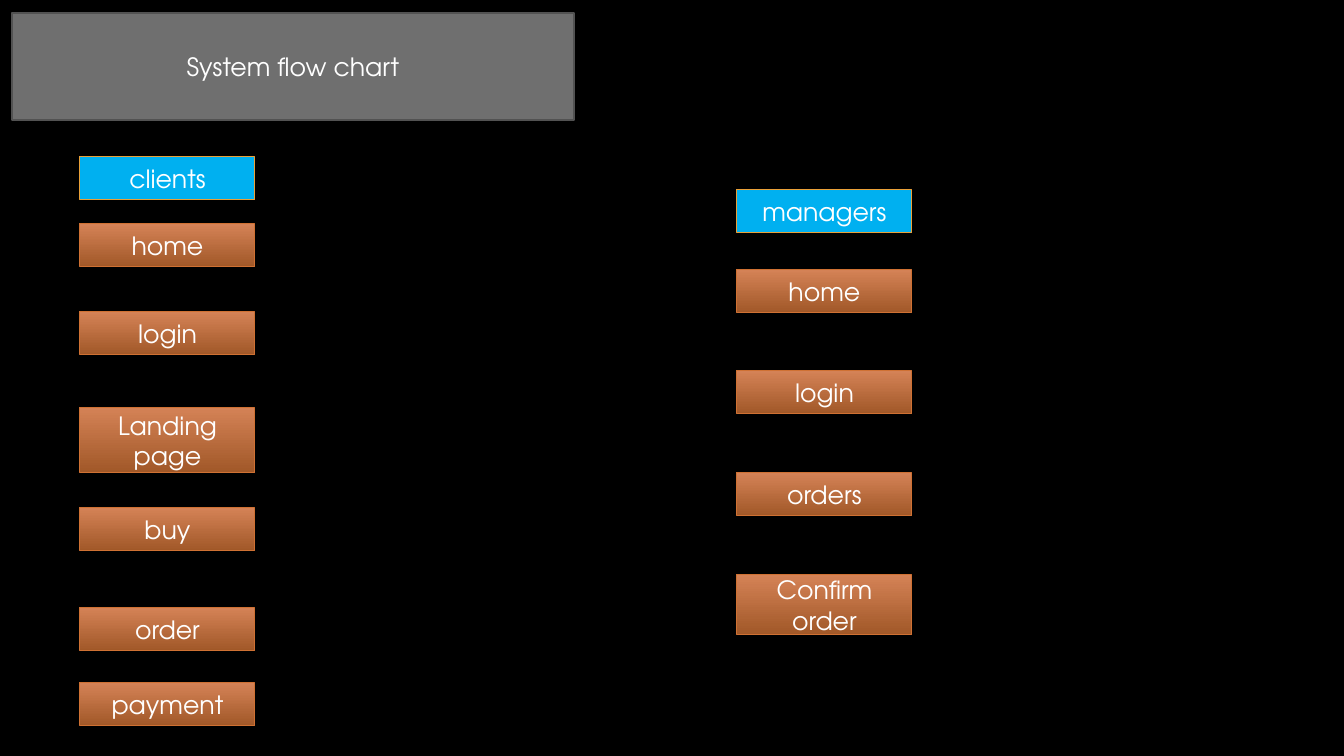
"""Build the system flow chart slide with its client and manager steps."""
from dataclasses import dataclass

from pptx import Presentation
from pptx.dml.color import RGBColor
from pptx.enum.shapes import MSO_SHAPE
from pptx.enum.text import MSO_ANCHOR, MSO_AUTO_SIZE, PP_ALIGN
from pptx.util import Emu, Pt

RECTANGLE = MSO_SHAPE.RECTANGLE
MIDDLE = MSO_ANCHOR.MIDDLE
NO_AUTOFIT = MSO_AUTO_SIZE.NONE
CENTER = PP_ALIGN.CENTER

SLIDE_WIDTH, SLIDE_HEIGHT = 1344, 756
EMU_PER_PX = 12192000 / SLIDE_WIDTH
TITLE_ONLY_LAYOUT = 5
BOX_WIDTH, BOX_HEIGHT = 175, 43
FONT_NAME, FONT_SIZE = "TeX Gyre Adventor", Pt(18)

BLACK = RGBColor(0x00, 0x00, 0x00)
WHITE = RGBColor(0xFF, 0xFF, 0xFF)
GRAY = RGBColor(0x6F, 0x6F, 0x6F)
DARK_GRAY = RGBColor(0x52, 0x52, 0x52)
BLUE = RGBColor(0x00, 0xB0, 0xF0)
AMBER = RGBColor(0xE9, 0xA0, 0x39)
COPPER = RGBColor(0xCF, 0x71, 0x33)
COPPER_LIGHT = RGBColor(0xD4, 0x82, 0x56)
COPPER_DARK = RGBColor(0xA1, 0x58, 0x28)


@dataclass(frozen=True)
class Step:
    label: str
    top: int
    height: int = BOX_HEIGHT


@dataclass(frozen=True)
class Flow:
    left: int
    role: Step
    steps: tuple[Step, ...]


FLOWS = (
    Flow(80, Step("clients", 157), (
        Step("home", 224),
        Step("login", 312),
        Step("Landing page", 408, 65),
        Step("buy", 508),
        Step("order", 608),
        Step("payment", 683),
    )),
    Flow(737, Step("managers", 190), (
        Step("home", 270),
        Step("login", 371),
        Step("orders", 473),
        Step("Confirm order", 575, 60),
    )),
)


def px(length: int) -> Emu:
    """Convert px to EMU."""
    return Emu(round(length * EMU_PER_PX))


def write_label(shape, label: str) -> None:
    """Put centred white text in a shape."""
    frame = shape.text_frame
    frame.text = label
    frame.word_wrap = True
    frame.auto_size = NO_AUTOFIT
    frame.vertical_anchor = MIDDLE
    paragraph = frame.paragraphs[0]
    paragraph.alignment = CENTER
    paragraph.font.name = FONT_NAME
    paragraph.font.size = FONT_SIZE
    paragraph.font.color.rgb = WHITE


def paint(shape, fill: RGBColor, line: RGBColor, line_width: float) -> None:
    """Give a shape a solid fill and an outline."""
    shape.fill.solid()
    shape.fill.fore_color.rgb = fill
    shape.line.color.rgb = line
    shape.line.width = Pt(line_width)


def add_title(slide) -> None:
    """Format the title placeholder as the heading panel."""
    title = slide.shapes.title
    title.left, title.top, title.width, title.height = map(px, (12, 13, 562, 107))
    paint(title, GRAY, DARK_GRAY, 1.5)
    write_label(title, "System flow chart")


def add_box(slide, left: int, step: Step, line: RGBColor):
    """Draw one labelled box of a flow."""
    box = slide.shapes.add_shape(
        RECTANGLE, px(left), px(step.top), px(BOX_WIDTH), px(step.height))
    box.shadow.inherit = False
    paint(box, BLUE, line, 0.75)
    write_label(box, step.label)
    return box


def add_flow(slide, flow: Flow) -> None:
    """Draw a role box and the gradient step boxes below it."""
    add_box(slide, flow.left, flow.role, AMBER)
    for step in flow.steps:
        fill = add_box(slide, flow.left, step, COPPER).fill
        fill.gradient()
        fill.gradient_angle = 270
        for stop, color, position in zip(
                fill.gradient_stops, (COPPER_LIGHT, COPPER_DARK), (0, 1)):
            stop.color.rgb = color
            stop.position = position


def main() -> None:
    """Create and save the presentation."""
    presentation = Presentation()
    presentation.slide_width = px(SLIDE_WIDTH)
    presentation.slide_height = px(SLIDE_HEIGHT)
    slide = presentation.slides.add_slide(
        presentation.slide_layouts[TITLE_ONLY_LAYOUT])
    slide.background.fill.solid()
    slide.background.fill.fore_color.rgb = BLACK
    add_title(slide)
    for flow in FLOWS:
        add_flow(slide, flow)
    presentation.save("out.pptx")


if __name__ == "__main__":
    main()
